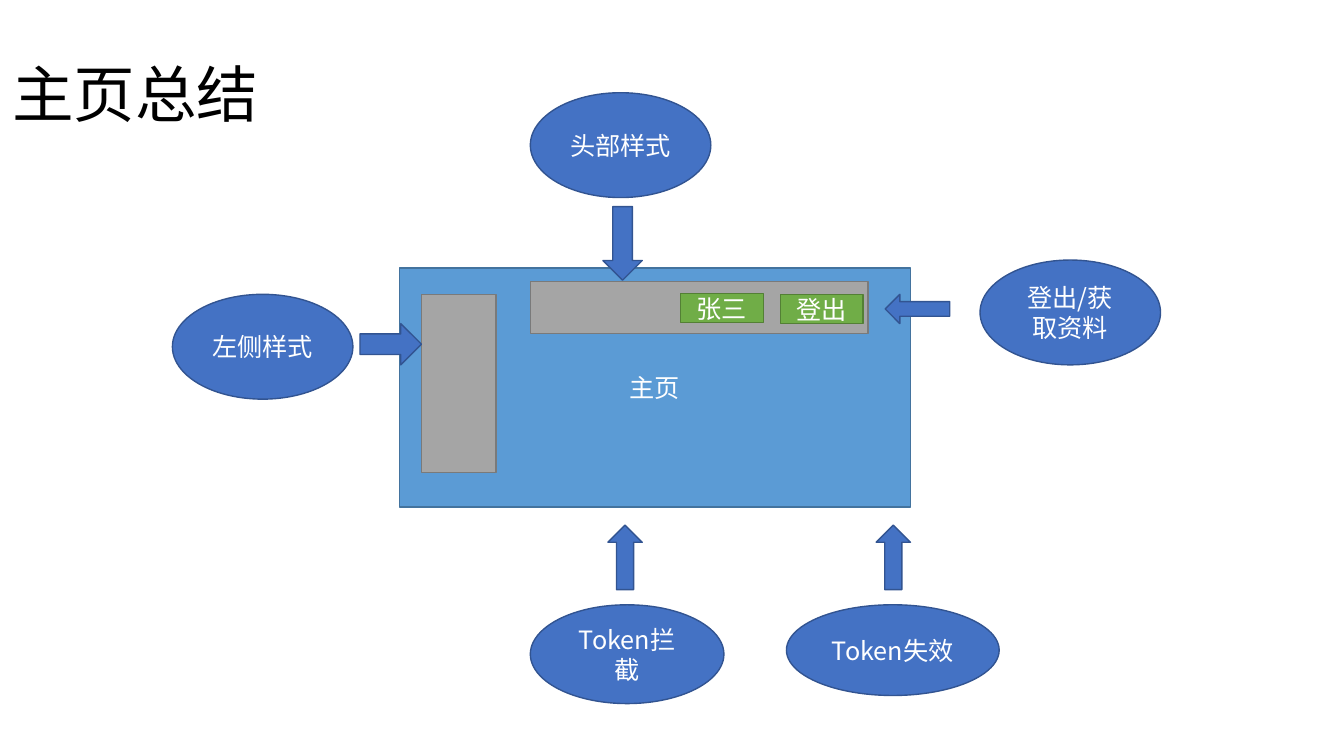
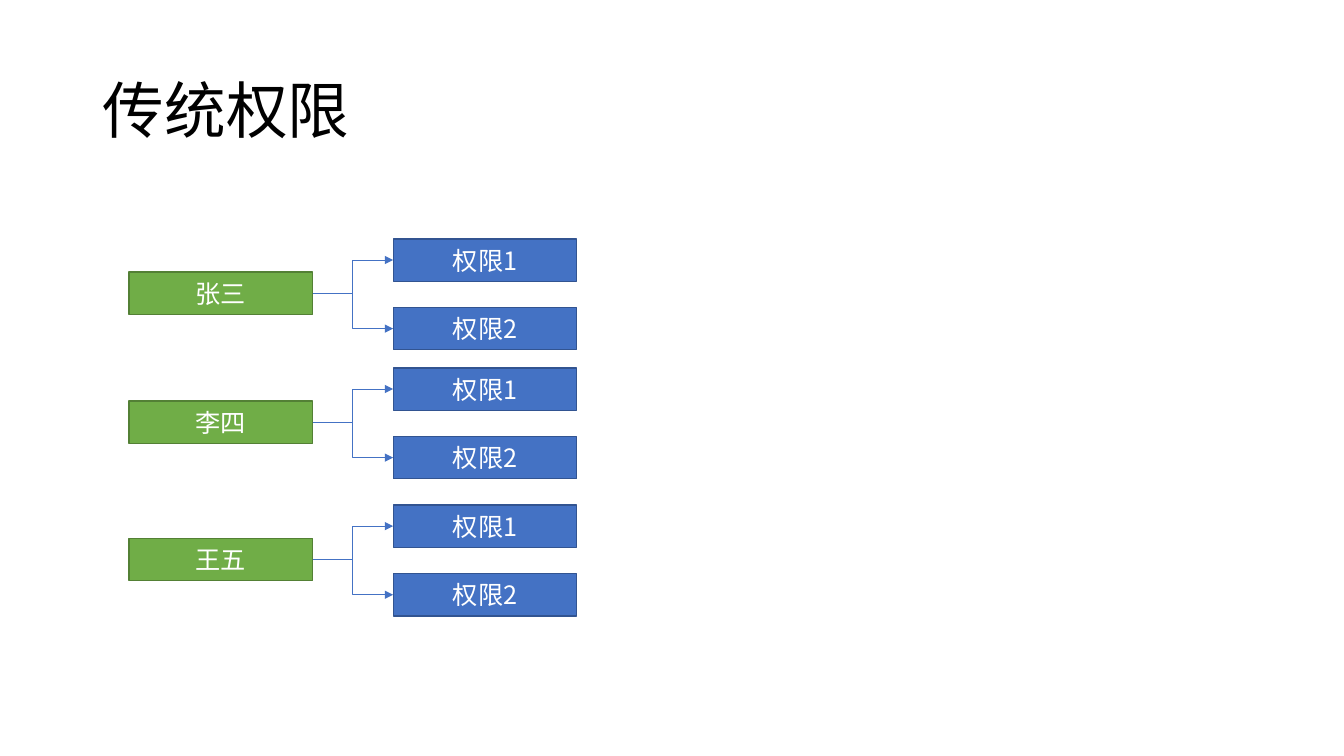
from dataclasses import dataclass
from lxml.etree import SubElement as Sub
from pptx import Presentation
from pptx.dml.color import RGBColor as Rgb
from pptx.enum.shapes import MSO_CONNECTOR as Link, MSO_SHAPE as Kind
from pptx.enum.text import MSO_ANCHOR as Anchor, PP_ALIGN as Align
from pptx.oxml.ns import qn
from pptx.util import Inches, Pt


@dataclass(frozen=True)
class Theme:
    font: str = "Noto Sans CJK SC"
    head: int = 44
    body: int = 18
    edge: float = 1
    wire: float = 0.5
    ink: str = "000000"
    pale: str = "FFFFFF"
    # fill and outline pairs
    sky: tuple = ("5B9BD5", "43739E")
    gray: tuple = ("A5A5A5", "7A7A7A")
    green: tuple = ("70AD47", "538035")
    blue: tuple = ("4472C4", "325491")


T = Theme()

# Content: slide 1, (text, left, top, width, height)
HOME = ("主页总结", 0.02, 0.24)
PAGE = [
    (T.sky, "主页", 3.96, 2.66, 5.07, 2.37),
    (T.gray, "", 4.18, 2.92, 0.74, 1.77),
    (T.gray, "", 5.26, 2.79, 3.35, 0.52),
    (T.green, "登出", 7.74, 2.92, 0.82, 0.29),
    (T.green, "张三", 6.75, 2.91, 0.82, 0.29),
]
NOTES = [
    ("Token拦截", 5.26, 6, 1.92, 0.98),
    ("左侧样式", 1.71, 2.92, 1.79, 1.04),
    ("头部样式", 5.26, 0.92, 1.79, 1.04),
    ("登出/获取资料", 9.72, 2.58, 1.79, 1.04),
    ("Token失效", 7.8, 6, 2.11, 0.9),
]
ARROWS = [
    (Kind.UP_ARROW, 6.03, 5.21, 0.34, 0.64),
    (Kind.RIGHT_ARROW, 3.57, 3.21, 0.61, 0.41),
    (Kind.DOWN_ARROW, 5.98, 2.05, 0.39, 0.73),
    (Kind.LEFT_ARROW, 8.78, 2.92, 0.64, 0.29),
    (Kind.UP_ARROW, 8.69, 5.21, 0.34, 0.64),
]

# Content: slide 2, (user, top of the group)
RIGHTS = ("传统权限", 0.92, 0.4)
USERS = [("张三", 2.37), ("李四", 3.65), ("王五", 5.01)]
GRANTS = ["权限1", "权限2"]
USER_X, GRANT_X = 1.28, 3.9
BOX_W, BOX_H = 1.82, 0.42
DROP, STEP = 0.33, 0.68

deck = Presentation()
deck.slide_width, deck.slide_height = Inches(13.33), Inches(7.5)


# Shared helpers
def style(frame, text, size, color, align):
    frame.text = text
    frame.word_wrap = True
    frame.vertical_anchor = Anchor.MIDDLE
    para = frame.paragraphs[0]
    para.alignment = align
    font = para.font
    font.name, font.size = T.font, Pt(size)
    font.color.rgb = Rgb.from_string(color)
    props = para._p.pPr.find(qn("a:defRPr"))
    Sub(props, qn("a:ea")).set("typeface", T.font)
    return para


def new_slide(text, left, top):
    slide = deck.slides.add_slide(deck.slide_layouts[5])
    title = slide.shapes.title
    title.left, title.top = Inches(left), Inches(top)
    title.width, title.height = Inches(11.5), Inches(1.45)
    para = style(title.text_frame, text, T.head, T.ink, Align.LEFT)
    para.line_spacing = 0.9
    return slide


def block(slide, kind, tone, text, *place):
    shape = slide.shapes.add_shape(kind, *map(Inches, place))
    shape.shadow.inherit = False
    fill, edge = map(Rgb.from_string, tone)
    shape.fill.solid()
    shape.fill.fore_color.rgb = fill
    shape.line.color.rgb = edge
    shape.line.width = Pt(T.edge)
    if text:
        style(shape.text_frame, text, T.body, T.pale, Align.CENTER)
    return shape


def join(slide, start, end):
    wire = slide.shapes.add_connector(Link.ELBOW, 0, 0, 0, 0)
    wire.begin_connect(start, 3)  # right side
    wire.end_connect(end, 1)  # left side
    wire.line.color.rgb = Rgb.from_string(T.blue[0])
    wire.line.width = Pt(T.wire)
    Sub(wire.line._get_or_add_ln(), qn("a:tailEnd")).set("type", "triangle")
    Sub(wire._element.spPr, qn("a:effectLst"))


# Slide 1: page mock-up with callouts
home = new_slide(*HOME)
for tone, text, *place in PAGE:
    block(home, Kind.RECTANGLE, tone, text, *place)
for text, *place in NOTES:
    block(home, Kind.OVAL, T.blue, text, *place)
for kind, *place in ARROWS:
    block(home, kind, T.blue, "", *place)

# Slide 2: each user linked to its grants
rights = new_slide(*RIGHTS)
for name, top in USERS:
    user = block(rights, Kind.RECTANGLE, T.green, name,
                 USER_X, top + DROP, BOX_W, BOX_H)
    for row, text in enumerate(GRANTS):
        grant = block(rights, Kind.RECTANGLE, T.blue, text,
                      GRANT_X, top + row * STEP, BOX_W, BOX_H)
        join(rights, user, grant)

deck.save("out.pptx")
